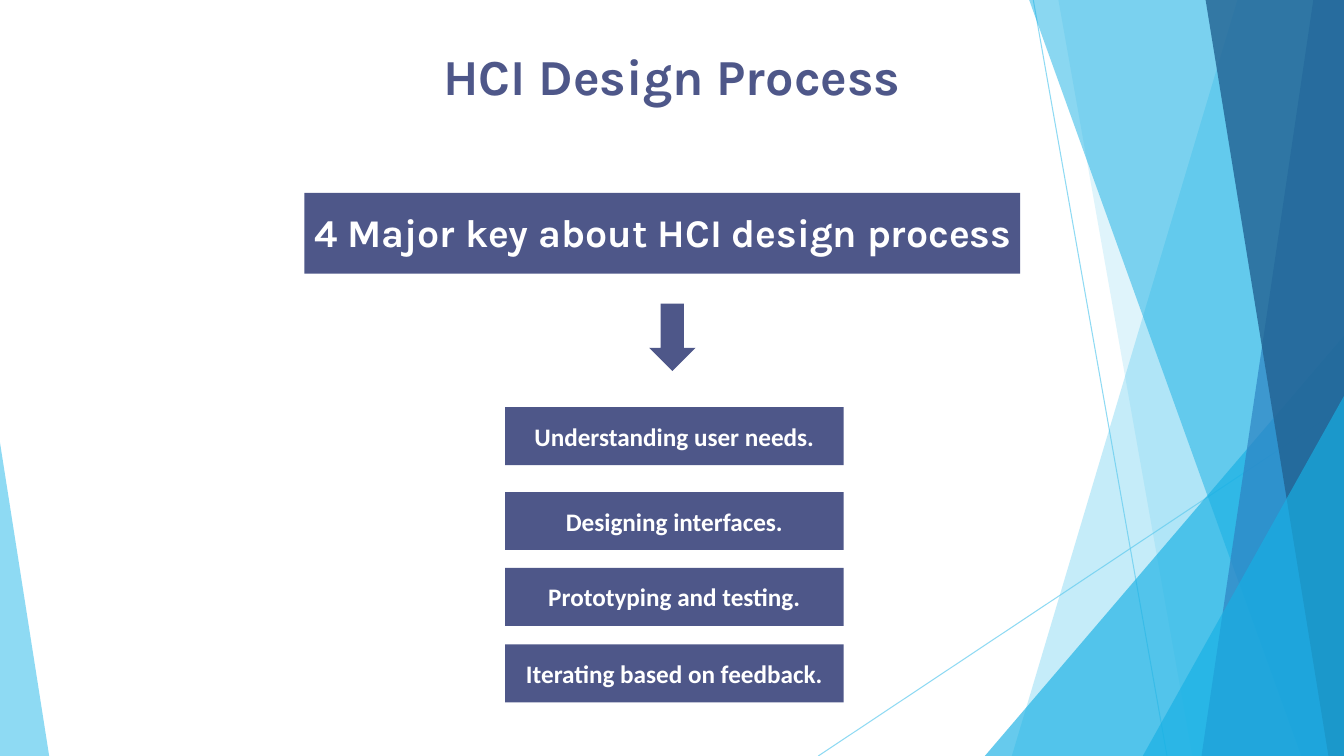
from lxml import etree
from pptx import Presentation
from pptx.dml.color import RGBColor
from pptx.enum.shapes import MSO_CONNECTOR, MSO_SHAPE
from pptx.enum.text import MSO_ANCHOR, PP_ALIGN
from pptx.oxml.ns import qn
from pptx.util import Cm, Pt

LINE = MSO_CONNECTOR.STRAIGHT
RECT = MSO_SHAPE.RECTANGLE
ARROW = MSO_SHAPE.DOWN_ARROW
TRI = MSO_SHAPE.ISOSCELES_TRIANGLE
LEFT, MID = PP_ALIGN.LEFT, PP_ALIGN.CENTER
TOP, HALF = MSO_ANCHOR.TOP, MSO_ANCHOR.MIDDLE
NAVY, WHITE, SKY, CYAN = "4E5789", "FFFFFF", "5FCBEF", "17B0E4"
WIDE, HIGH, EDGE = 33.87, 19.05, -0.02


def paint(fill, color, node=None, alpha=100):
    fill.solid()
    fill.fore_color.rgb = RGBColor.from_string(color)
    if alpha < 100:
        tint = next(node.iter(qn("a:srgbClr")))
        etree.SubElement(tint, qn("a:alpha")).set("val", str(alpha * 1000))


def write(shape, text, size, font, color=WHITE, align=LEFT, anchor=TOP):
    frame = shape.text_frame
    frame.word_wrap = True
    frame.vertical_anchor = anchor
    para = frame.paragraphs[0]
    para.alignment = align
    run = para.add_run()
    run.text = text
    run.font.size = Pt(size)
    run.font.name = font
    run.font.bold = True
    paint(run.font.fill, color)


deck = Presentation()
deck.slide_width, deck.slide_height = Cm(WIDE), Cm(HIGH)
slide = deck.slides.add_slide(deck.slide_layouts[6])
shapes = slide.shapes

for ends in [(26.04, 0, 29.41, HIGH), (WIDE, 10.24, 20.62, HIGH)]:
    line = shapes.add_connector(LINE, *map(Cm, ends))
    line.line.width = Pt(0.75)
    paint(line.line.fill, SKY, line.element, 70)
    etree.SubElement(line.element.spPr, qn("a:effectLst"))

panes = [
    (SKY, 36, (31.19, 25.5)),
    (SKY, 20, (26.67, 30.05)),
    (CYAN, 66, (24.82, 8.46, 9.05, 1)),
    (CYAN, 50, (25.93, 32.79)),
    ("2E83C3", 70, (33.1, 30.28)),
    ("226292", 80, (30.38, 33.48)),
    (CYAN, 66, (28.8, 9.98, 5.07, 1)),
    (SKY, 70, (0, 11.15, 1.24, 0)),
]
for color, alpha, form in panes:
    if len(form) == 2:
        head, foot = form
        path = shapes.build_freeform(Cm(head), Cm(EDGE))
        rest = [(WIDE, EDGE), (WIDE, HIGH), (foot, HIGH)]
        path.add_line_segments([(Cm(x), Cm(y)) for x, y in rest])
        pane = path.convert_to_shape()
    else:
        left, top, width, tip = form
        pane = shapes.add_shape(TRI, Cm(left), Cm(top), Cm(width), Cm(HIGH - top))
        pane.adjustments[0] = tip
    paint(pane.fill, color, pane.element, alpha)
    pane.line.fill.background()
    pane.shadow.inherit = False

title = shapes.add_textbox(Cm(10.92), Cm(1.02), Cm(12.04), Cm(1.83))
write(title, "HCI Design Process", 36, "Karla", NAVY)

steps = [
    (10.26, "Understanding user needs."),
    (12.4, "Designing interfaces."),
    (14.31, "Prototyping and testing."),
    (16.24, "Iterating based on feedback."),
]
blocks = [(RECT, 7.67, 4.86, 18.04, 2.04, "")]
blocks += [(RECT, 12.73, top, 8.53, 1.46, text) for top, text in steps]
blocks += [(ARROW, 16.36, 7.65, 1.17, 1.7, "")]
for kind, left, top, width, height, text in blocks:
    block = shapes.add_shape(kind, Cm(left), Cm(top), Cm(width), Cm(height))
    paint(block.fill, NAVY)
    block.line.fill.background()
    block.shadow.inherit = False
    if text:
        write(block, text, 18, "Calibri", align=MID, anchor=HALF)

label = shapes.add_textbox(Cm(7.67), Cm(5.13), Cm(20.24), Cm(1.45))
write(label, "4 Major key about HCI design process", 28, "Karla")

deck.save("out.pptx")
